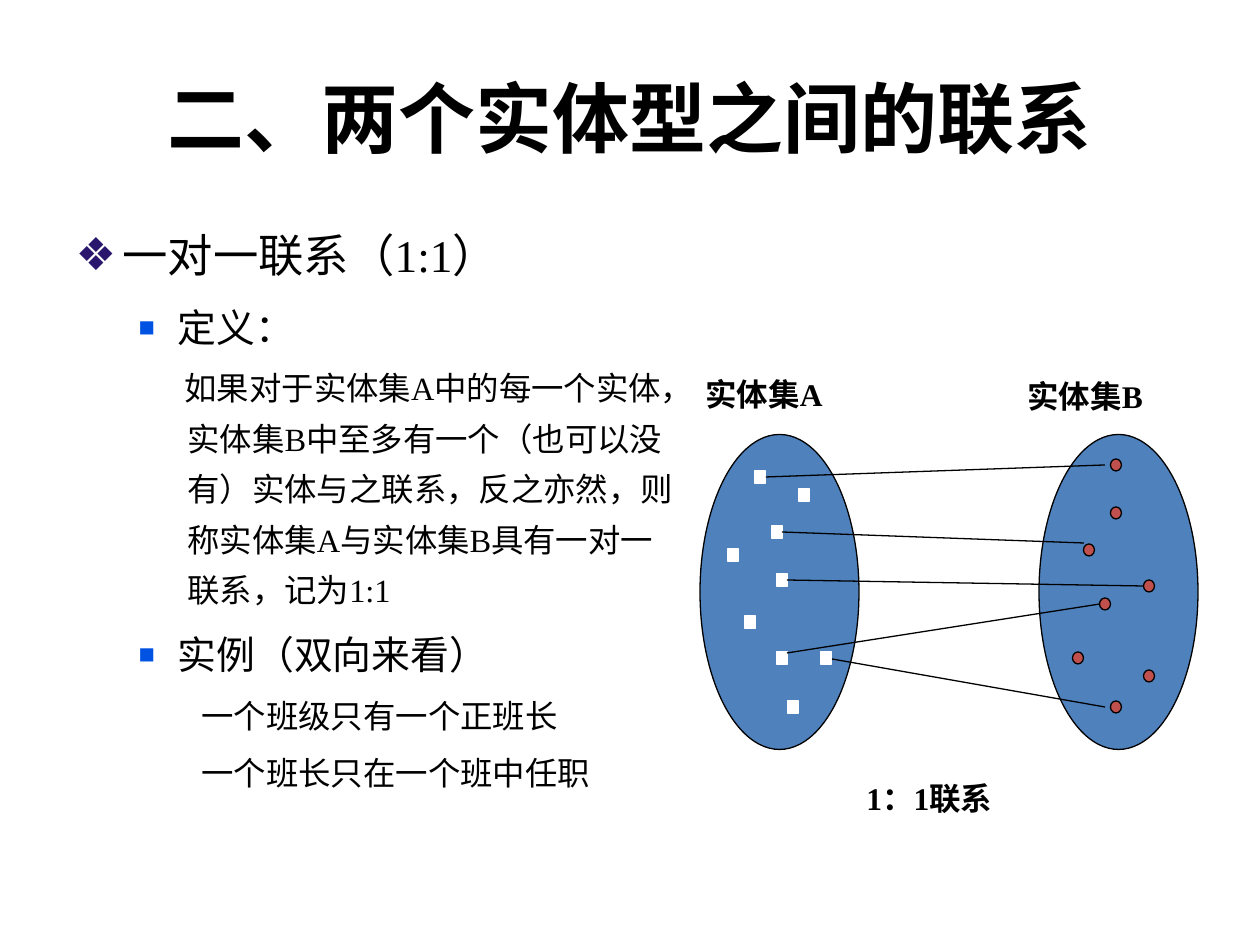
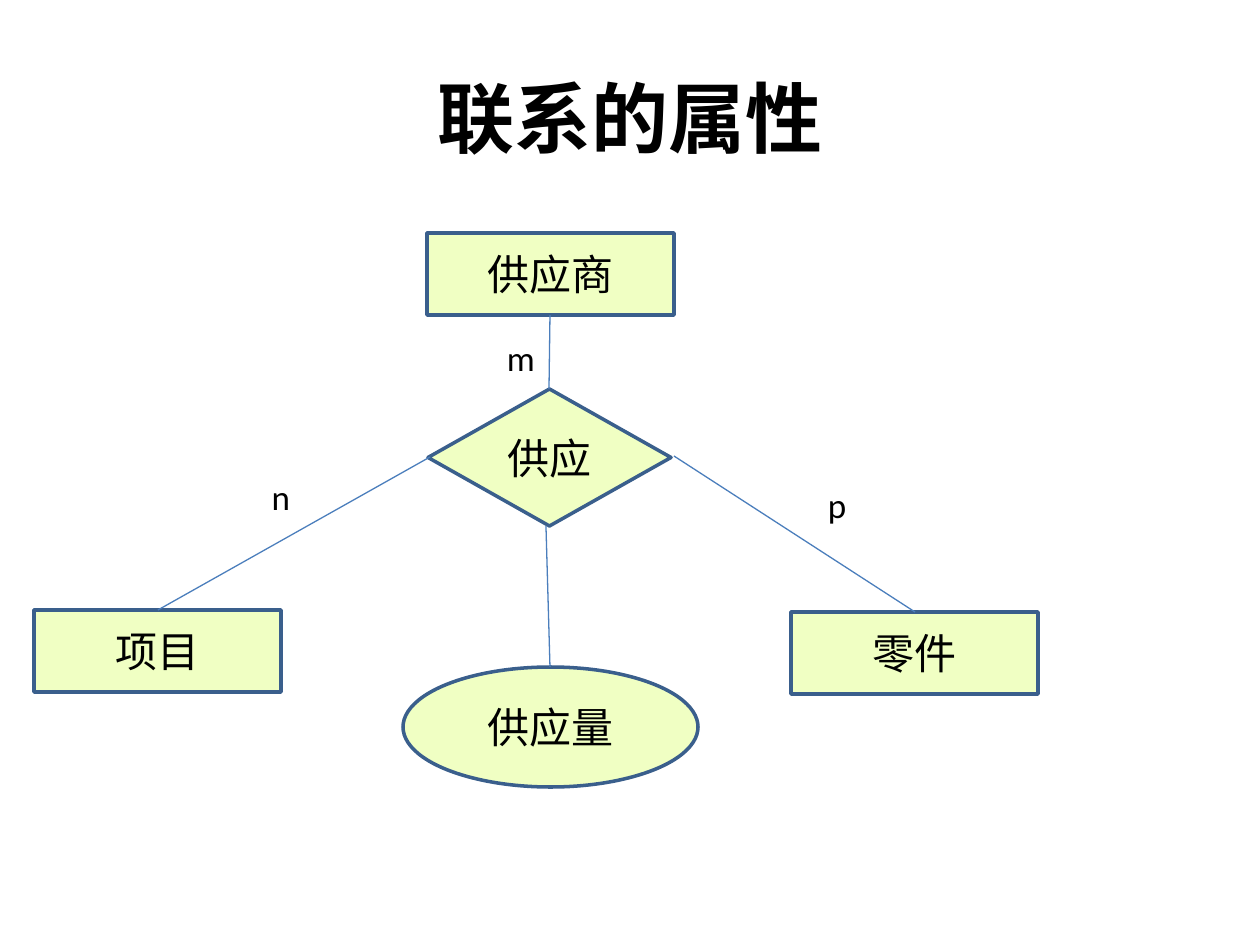
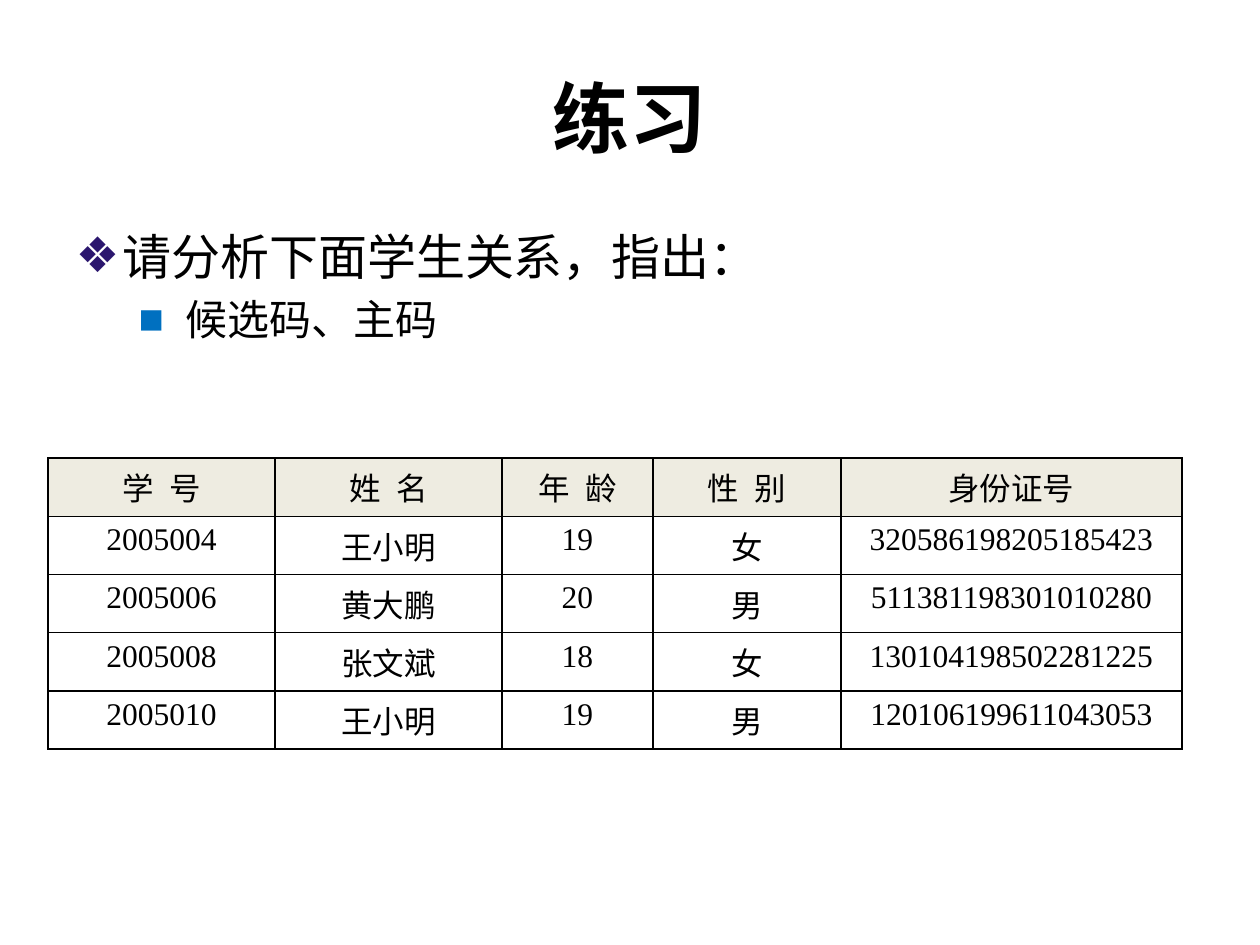
from pptx import Presentation
from pptx.dml.color import RGBColor
from pptx.enum.shapes import MSO_CONNECTOR, MSO_SHAPE
from pptx.enum.text import MSO_ANCHOR, MSO_AUTO_SIZE, PP_ALIGN
from pptx.oxml.ns import qn
from pptx.util import Emu, Pt
from lxml.etree import SubElement

SCALE = 914400 / 126
SERIF, SANS, HEADING = "Times New Roman", "Calibri", "Arial"
BLACK, WHITE = "000000", "FFFFFF"
SET_BLUE, DOT_RED = "4F81BD", "C0504D"
ER_FILL, ER_EDGE, ER_LINK = "F0FFC3", "3A5F8C", "4B7EBC"
HEADER_FILL = "EEECE1"
TITLE_BOX = (63, 38, 1134, 157)
# bullet: character, colour, size in percent
DIAMONDS = ("❖", "2B166E", 100)
SMALL_SQUARE = ("■", "0053E2", 70)
SQUARE = ("■", "0070C0", 100)


def px(n):
    """Turn pixels into EMU."""
    return Emu(round(n * SCALE))


def rgb(value):
    """Turn a hex string into a colour."""
    return RGBColor.from_string(value)


def place(shape, box):
    """Move and size a shape to a pixel box."""
    shape.left, shape.top, shape.width, shape.height = map(px, box)


def inside(box, part):
    """Shift a part by the corner of the box that holds it."""
    return (box[0] + part[0], box[1] + part[1]) + tuple(part[2:])


def style(p, size, font=SERIF, bold=False, align=None):
    """Format a paragraph and its runs."""
    p.alignment = align
    for r in p.runs:
        r.font.name, r.font.size, r.font.bold = font, Pt(size), bold
        r.font.color.rgb = rgb(BLACK)


def add_shape(shapes, kind, box, fill, edge, width=0.75):
    """Add a filled and outlined preset shape."""
    sp = shapes.add_shape(kind, *map(px, box))
    sp.shadow.inherit = False
    sp.fill.solid()
    sp.fill.fore_color.rgb = rgb(fill)
    sp.line.color.rgb = rgb(edge)
    sp.line.width = Pt(width)
    return sp


def add_line(shapes, start, end, color):
    """Add a thin straight connector."""
    line = shapes.add_connector(MSO_CONNECTOR.STRAIGHT, *map(px, start + end))
    line.line.color.rgb = rgb(color)
    line.line.width = Pt(0.75)
    SubElement(line._element.spPr, qn("a:effectLst"))


def add_label(shapes, text, box, size, **look):
    """Add a wrapping text box with one paragraph."""
    tf = shapes.add_textbox(*map(px, box)).text_frame
    tf.word_wrap = True
    tf.text = text
    style(tf.paragraphs[0], size, **look)
    return tf


def add_slide(prs, layout, title):
    """Add a slide with the shared title."""
    s = prs.slides.add_slide(prs.slide_layouts[layout])
    place(s.shapes.title, TITLE_BOX)
    tf = s.shapes.title.text_frame
    tf.text = title
    tf.vertical_anchor = MSO_ANCHOR.MIDDLE
    style(tf.paragraphs[0], 44, HEADING, True, PP_ALIGN.CENTER)
    return s


def set_bullet(p, margin, indent, bullet):
    """Set the indents and the bullet of a paragraph."""
    pPr = p._p.get_or_add_pPr()
    pPr.set("marL", str(px(margin)))
    pPr.set("indent", str(px(indent)))
    if not bullet:
        SubElement(pPr, qn("a:buNone"))
        return
    char, color, percent = bullet
    SubElement(SubElement(pPr, qn("a:buClr")), qn("a:srgbClr")).set("val", color)
    SubElement(pPr, qn("a:buSzPct")).set("val", str(percent * 1000))
    SubElement(pPr, qn("a:buChar")).set("char", char)


def fill_body(s, box, items, spacing):
    """Fill the body with (text, level, size, margin, indent, bullet) items."""
    body = s.placeholders[1]
    place(body, box)
    tf = body.text_frame
    tf.auto_size = MSO_AUTO_SIZE.NONE
    for i, (text, level, size, margin, indent, bullet) in enumerate(items):
        p = tf.add_paragraph() if i else tf.paragraphs[0]
        p.text = text
        p.level = level
        p.space_before = Pt(round(size * 0.2, 1))
        p.line_spacing = spacing if level else 1.0
        style(p, size, align=PP_ALIGN.LEFT)
        set_bullet(p, margin, indent, bullet)


def entity_sets(s, box):
    """Draw two entity sets, their members and the one-to-one links."""
    shapes = s.shapes.add_group_shape().shapes
    for x in (7, 346):
        add_shape(shapes, MSO_SHAPE.OVAL, inside(box, (x, 66.5, 159, 315)),
                  SET_BLUE, BLACK)
    members_a = [(67, 109), (111, 127), (40, 187), (84, 164), (57, 254),
                 (89, 212), (89, 290), (133, 290), (100, 339)]
    members_b = [(423, 97), (423, 145), (396, 182), (456, 218), (412, 236),
                 (423, 339), (456, 308), (385, 290)]
    for kind, members, fill, edge in (
            (MSO_SHAPE.RECTANGLE, members_a, WHITE, WHITE),
            (MSO_SHAPE.OVAL, members_b, DOT_RED, BLACK)):
        for x, y in members:
            add_shape(shapes, kind, inside(box, (x - 5.5, y - 6, 11, 12)),
                      fill, edge)
    for start, end in (((73, 109), (412, 97)), ((89, 164), (391, 175)),
                       ((94, 212), (451, 218)), ((94, 285), (407, 236)),
                       ((139, 291), (412, 339))):
        add_line(shapes, inside(box, start), inside(box, end), BLACK)
    for text, part in (("1：1联系", (161, 405, 237, 64)),
                       ("实体集A", (0, 1, 199, 64)),
                       ("实体集B", (322, 3, 209, 64))):
        add_label(shapes, text, inside(box, part), 18, bold=True)


def er_diagram(s, box):
    """Draw the supply relationship with its entities and attribute."""
    process = MSO_SHAPE.FLOWCHART_PROCESS
    for text, kind, part in (
            ("供应商", process, (393, 0, 247, 82)),
            ("供应", MSO_SHAPE.DIAMOND, (394, 156, 243, 137)),
            ("项目", process, (0, 377, 247, 82)),
            ("零件", process, (757, 379, 247, 82)),
            ("供应量", MSO_SHAPE.OVAL, (369, 434, 295, 120))):
        sp = add_shape(s.shapes, kind, inside(box, part), ER_FILL, ER_EDGE, 2)
        sp.text_frame.text = text
        sp.text_frame.vertical_anchor = MSO_ANCHOR.MIDDLE
        style(sp.text_frame.paragraphs[0], 24, SANS, align=PP_ALIGN.CENTER)
    for start, end in (((516, 82), (515, 156)), ((396, 224), (124, 377)),
                       ((640, 223), (881, 379)), ((512, 293), (516, 434))):
        add_line(s.shapes, inside(box, start), inside(box, end), ER_LINK)
    for text, x, y in (("m", 461, 107), ("n", 221, 246), ("p", 777, 254)):
        tf = add_label(s.shapes, text, inside(box, (x, y, 52, 35)), 20,
                       font=SANS, align=PP_ALIGN.CENTER)
        tf.vertical_anchor = MSO_ANCHOR.MIDDLE
        tf.margin_left = tf.margin_right = tf.margin_top = tf.margin_bottom = 0


def set_borders(cell):
    """Give a cell a black line on each side, ahead of its fill."""
    tcPr = cell._tc.get_or_add_tcPr()
    for i, side in enumerate(("a:lnL", "a:lnR", "a:lnT", "a:lnB")):
        ln = SubElement(tcPr, qn(side))
        ln.set("w", str(Pt(1)))
        fill = SubElement(ln, qn("a:solidFill"))
        SubElement(fill, qn("a:srgbClr")).set("val", BLACK)
        tcPr.insert(i, ln)


def student_table(s, box, widths, rows):
    """Draw the student relation with a tinted header row."""
    table = s.shapes.add_table(len(rows), len(widths), *map(px, box)).table
    table.first_row = table.horz_banding = False
    for column, width in zip(table.columns, widths):
        column.width = px(width)
    for i, row in enumerate(rows):
        for j, text in enumerate(row):
            cell = table.cell(i, j)
            cell.text = text
            style(cell.text_frame.paragraphs[0], 18, align=PP_ALIGN.CENTER)
            if i:
                cell.fill.background()
            else:
                cell.fill.solid()
                cell.fill.fore_color.rgb = rgb(HEADER_FILL)
            set_borders(cell)


prs = Presentation()
prs.slide_width, prs.slide_height = px(1260), px(945)

s = add_slide(prs, 1, "二、两个实体型之间的联系")
definition = ("如果对于实体集A中的每一个实体，实体集B中至多有一个（也可以没有）"
              "实体与之联系，反之亦然，则称实体集A与实体集B具有一对一联系，记为1:1")
fill_body(s, (63, 221, 624, 624), [
    ("一对一联系（1:1）", 0, 25.9, 47, -47, DIAMONDS),
    ("定义：", 1, 22.2, 102, -39, SMALL_SQUARE),
    (definition, 2, 18.5, 112, -3, None),
    ("实例（双向来看）", 1, 22.2, 102, -39, SMALL_SQUARE),
    ("一个班级只有一个正班长", 2, 18.5, 158, -32, None),
    ("一个班长只在一个班中任职", 2, 18.5, 158, -32, None),
], 1.3)
entity_sets(s, (693, 368))

s = add_slide(prs, 5, "联系的属性")
er_diagram(s, (34, 233))

s = add_slide(prs, 1, "练习")
student_table(s, (48, 458, 1134, 260), (227, 227, 151, 188, 341), [
    ("学\u2002号", "姓\u2002名", "年\u2002龄", "性\u2002别", "身份证号"),
    ("2005004", "王小明", "19", "女", "320586198205185423"),
    ("2005006", "黄大鹏", "20", "男", "511381198301010280"),
    ("2005008", "张文斌", "18", "女", "130104198502281225"),
    ("2005010", "王小明", "19", "男", "120106199611043053"),
])
fill_body(s, (63, 220, 1134, 624), [
    ("请分析下面学生关系，指出：", 0, 28, 47, -47, DIAMONDS),
    ("候选码、主码", 1, 24, 110, -47, SQUARE),
], 1.0)

prs.save("out.pptx")
